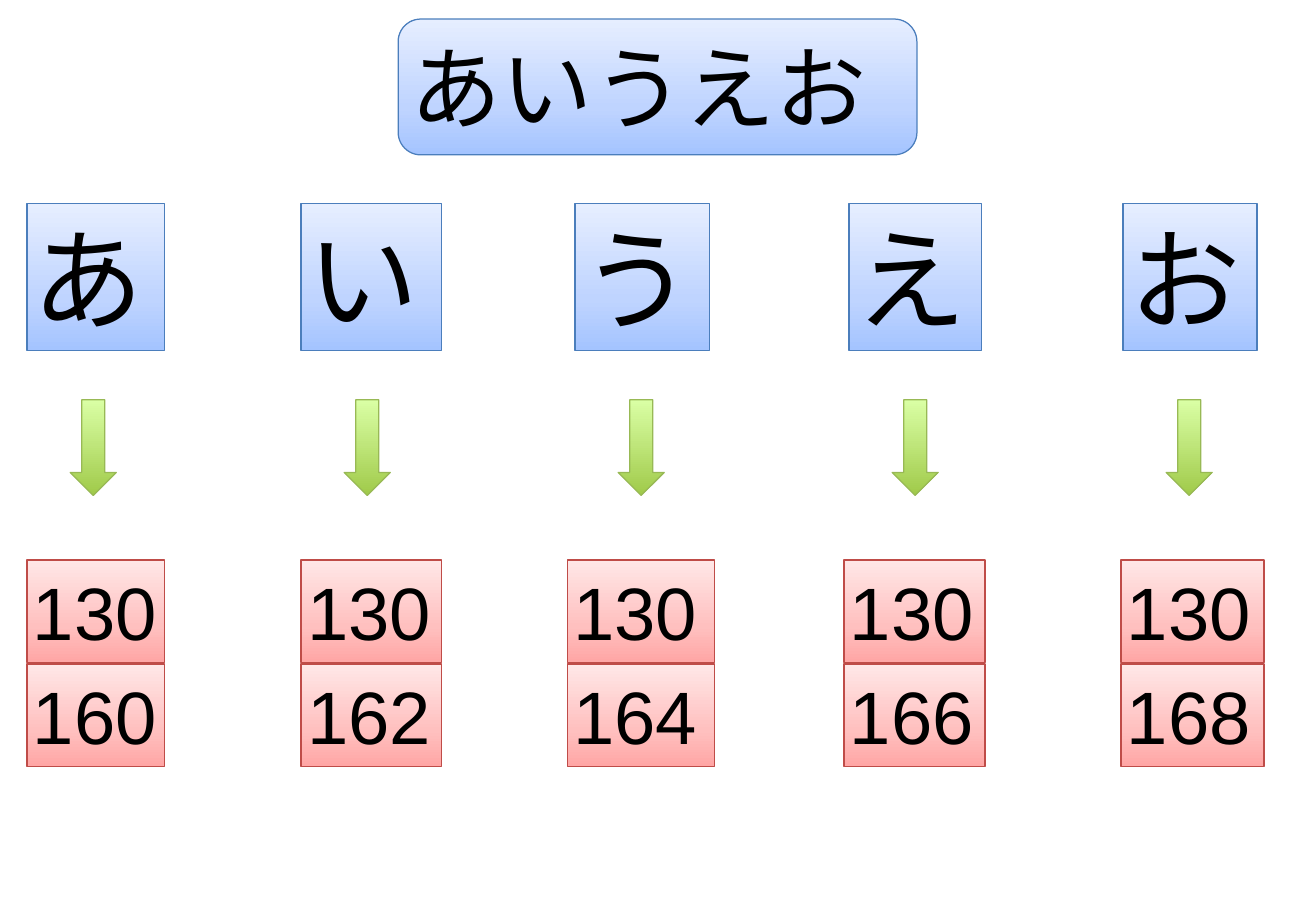
import copy
import pptx
import pptx.dml.color
import pptx.enum.shapes
import pptx.enum.text
import pptx.util

Pt = pptx.util.Pt
RGBColor = pptx.dml.color.RGBColor
SHAPES = pptx.enum.shapes.MSO_SHAPE
ANCHORS = pptx.enum.text.MSO_ANCHOR

TITLE = "あいうえお"
# letter, letter box width, codes, code box left, code box width
COLUMNS = [
    ("あ", 81.4, ("130", "160"), 16, 81.4),
    ("い", 83.3, ("130", "162"), 178.4, 83.3),
    ("う", 79.6, ("130", "164"), 336.2, 87.2),
    ("え", 78.4, ("130", "166"), 500.2, 83.6),
    ("お", 79.4, ("130", "168"), 664.4, 84.8),
]

BLACK = RGBColor(0x00, 0x00, 0x00)
BLUE_LINE = RGBColor(0x4B, 0x7E, 0xBC)
RED_LINE = RGBColor(0xBF, 0x4C, 0x48)
GREEN_LINE = RGBColor(0x98, 0xB9, 0x55)
# Gradient stops run from the bottom edge to the top edge
BLUE_STOPS = [(0, RGBColor(0xA4, 0xC4, 0xFF)), (0.35, RGBColor(0xBF, 0xD4, 0xFF)),
              (1, RGBColor(0xE6, 0xEE, 0xFF))]
RED_STOPS = [(0, RGBColor(0xFF, 0xA6, 0xA5)), (0.35, RGBColor(0xFF, 0xC0, 0xBF)),
             (1, RGBColor(0xFF, 0xE7, 0xE7))]
GREEN_STOPS = [(0, RGBColor(0xA0, 0xCA, 0x4A)), (1, RGBColor(0xDA, 0xFF, 0xA5))]
BLUE = (BLUE_STOPS, BLUE_LINE)
RED = (RED_STOPS, RED_LINE)
GREEN = (GREEN_STOPS, GREEN_LINE)

COLUMN_LEFT, COLUMN_STEP = 16, 162.4
LETTER_TOP, LETTER_HEIGHT = 120.6, 87
ARROW_INDENT, ARROW_TOP, ARROW_WIDTH, ARROW_HEIGHT = 25.6, 237, 27.3, 56.7
CODE_TOP, CODE_STEP, CODE_HEIGHT = 332, 61.6, 60.6


def fill_gradient(shape, stops):
    """Fill the shape with a vertical gradient made of the given stops."""
    shape.fill.gradient()
    shape.fill.gradient_angle = 90
    gradient_stops = shape.fill.gradient_stops
    if len(stops) > len(gradient_stops):
        stop_list = shape.element.spPr.find(".//" + pptx.oxml.ns.qn("a:gsLst"))
        stop_list.append(copy.deepcopy(stop_list[-1]))
        gradient_stops = shape.fill.gradient_stops
    for gradient_stop, (position, color) in zip(gradient_stops, stops):
        gradient_stop.position = position
        gradient_stop.color.rgb = color


def add_box(slide, kind, left, top, width, height, colors):
    """Add a preset shape with a gradient fill and a thin outline."""
    shape = slide.shapes.add_shape(kind, Pt(left), Pt(top), Pt(width), Pt(height))
    shape.shadow.inherit = False
    stops, line_color = colors
    fill_gradient(shape, stops)
    shape.line.color.rgb = line_color
    shape.line.width = Pt(0.75)
    return shape


def write_text(shape, text, size, font="Arial", anchor=ANCHORS.MIDDLE):
    """Write one left-aligned line of text into the shape."""
    frame = shape.text_frame
    frame.word_wrap = True
    frame.auto_size = pptx.enum.text.MSO_AUTO_SIZE.SHAPE_TO_FIT_TEXT
    frame.vertical_anchor = anchor
    frame.margin_left = frame.margin_right = Pt(3.6)
    frame.margin_top = frame.margin_bottom = Pt(3.6)
    paragraph = frame.paragraphs[0]
    paragraph.alignment = pptx.enum.text.PP_ALIGN.LEFT
    run = paragraph.add_run()
    run.text = text
    run.font.size = Pt(size)
    run.font.name = font
    run.font.color.rgb = BLACK


presentation = pptx.Presentation()
presentation.slide_width = Pt(780)
presentation.slide_height = Pt(540)
slide = presentation.slides.add_slide(presentation.slide_layouts[6])

title_box = add_box(slide, SHAPES.ROUNDED_RECTANGLE, 236, 11.3, 307.5, 80.5, BLUE)
write_text(title_box, TITLE, 54, font="Times New Roman", anchor=ANCHORS.TOP)

for column, (letter, letter_width, codes, code_left, code_width) in enumerate(COLUMNS):
    left = COLUMN_LEFT + column * COLUMN_STEP
    letter_box = add_box(slide, SHAPES.RECTANGLE, left, LETTER_TOP,
                         letter_width, LETTER_HEIGHT, BLUE)
    write_text(letter_box, letter, 66)
    add_box(slide, SHAPES.DOWN_ARROW, left + ARROW_INDENT, ARROW_TOP,
            ARROW_WIDTH, ARROW_HEIGHT, GREEN)
    for row, code in enumerate(codes):
        code_box = add_box(slide, SHAPES.RECTANGLE, code_left, CODE_TOP + row * CODE_STEP,
                           code_width, CODE_HEIGHT, RED)
        write_text(code_box, code, 44)

presentation.save("out.pptx")
